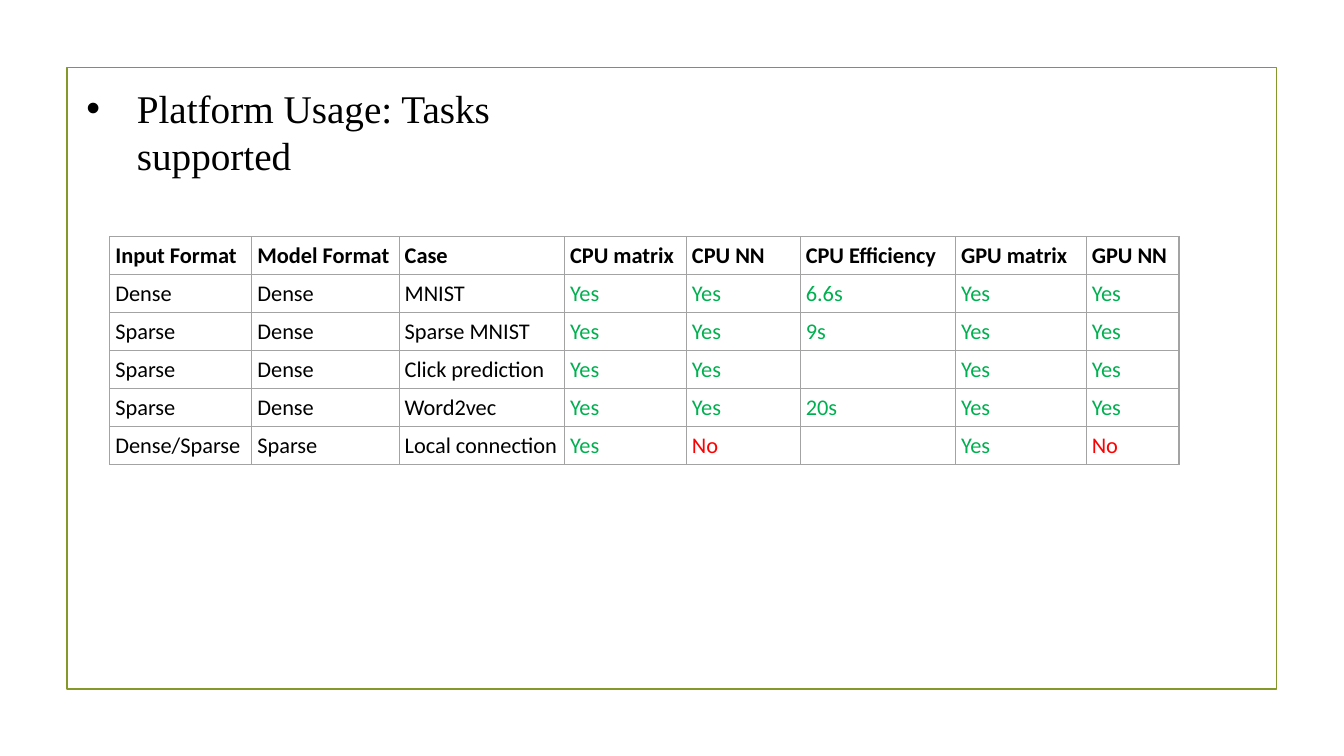
from dataclasses import dataclass

from lxml.etree import SubElement
from pptx import Presentation
from pptx.dml.color import RGBColor
from pptx.enum.shapes import MSO_SHAPE
from pptx.oxml.ns import qn
from pptx.slide import Slide
from pptx.table import _Cell as Cell
from pptx.util import Pt

BLACK = "000000"
GREEN = "00B050"
RED = "FF0000"
OLIVE = "83992A"
GRAY = "A3A3A3"
CELL_SIZE = 16
ROW_HEIGHT = 27.15


@dataclass
class Column:
    header: str
    width: float
    values: list[str]
    color: str = GREEN


COLUMNS = [
    Column("Input Format", 101.5, ["Dense", "Sparse", "Sparse", "Sparse", "Dense/Sparse"], BLACK),
    Column("Model Format", 105.2, ["Dense", "Dense", "Dense", "Dense", "Sparse"], BLACK),
    Column("Case", 118.2, ["MNIST", "Sparse MNIST", "Click prediction", "Word2vec", "Local connection"], BLACK),
    Column("CPU matrix", 87, ["Yes", "Yes", "Yes", "Yes", "Yes"]),
    Column("CPU NN", 81.3, ["Yes", "Yes", "Yes", "Yes", "No"]),
    Column("CPU Efficiency", 111, ["6.6s", "9s", "", "20s", ""]),
    Column("GPU matrix", 93.4, ["Yes", "Yes", "Yes", "Yes", "Yes"]),
    Column("GPU NN", 66.3, ["Yes", "Yes", "Yes", "Yes", "No"]),
]


def rgb(color: str) -> RGBColor:
    return RGBColor.from_string(color)


def add_frame(slide: Slide) -> None:
    shape = slide.shapes.add_shape(MSO_SHAPE.RECTANGLE, Pt(47.8), Pt(48.2), Pt(864), Pt(444))
    shape.shadow.inherit = False
    shape.fill.background()
    shape.line.color.rgb = rgb(OLIVE)
    shape.line.width = Pt(1.25)


def add_heading(slide: Slide) -> None:
    box = slide.shapes.add_textbox(Pt(54.7), Pt(56.9), Pt(416), Pt(41))
    box.text_frame.word_wrap = True
    paragraph = box.text_frame.paragraphs[0]
    paragraph.text = "Platform Usage: Tasks supported"
    font = paragraph.runs[0].font
    font.name = "Times New Roman"
    font.size = Pt(28)
    font.color.rgb = rgb(BLACK)
    properties = paragraph._p.get_or_add_pPr()
    properties.set("marL", str(Pt(36)))
    properties.set("indent", str(Pt(-36)))
    SubElement(properties, qn("a:buFont")).set("typeface", "Arial")
    SubElement(properties, qn("a:buChar")).set("char", "•")


def add_borders(cell: Cell) -> None:
    properties = cell._tc.get_or_add_tcPr()
    for side in ("lnL", "lnR", "lnT", "lnB"):
        line = SubElement(properties, qn(f"a:{side}"), w=str(Pt(1)))
        fill = SubElement(line, qn("a:solidFill"))
        SubElement(fill, qn("a:srgbClr")).set("val", GRAY)


def fill_cell(cell: Cell, text: str, color: str, bold: bool) -> None:
    add_borders(cell)
    cell.fill.background()
    cell.margin_left = cell.margin_right = Pt(4)
    cell.margin_top = cell.margin_bottom = Pt(3.8)
    paragraph = cell.text_frame.paragraphs[0]
    paragraph.text = text
    for run in paragraph.runs:
        run.font.name = "Calibri"
        run.font.size = Pt(CELL_SIZE)
        run.font.bold = bold
        run.font.color.rgb = rgb(color)
    if not text:
        SubElement(paragraph._p, qn("a:endParaRPr"), sz=str(CELL_SIZE * 100))


def add_task_table(slide: Slide) -> None:
    row_count = len(COLUMNS[0].values) + 1
    width = sum(column.width for column in COLUMNS)
    frame = slide.shapes.add_table(
        row_count, len(COLUMNS), Pt(78.4), Pt(169), Pt(width), Pt(row_count * ROW_HEIGHT)
    )
    table = frame.table
    table.first_row = False
    table.horz_banding = False
    for row in table.rows:
        row.height = Pt(ROW_HEIGHT)
    for column_index, column in enumerate(COLUMNS):
        table.columns[column_index].width = Pt(column.width)
        fill_cell(table.cell(0, column_index), column.header, BLACK, True)
        for row_index, value in enumerate(column.values, start=1):
            color = RED if value == "No" else column.color
            fill_cell(table.cell(row_index, column_index), value, color, False)


def main() -> None:
    presentation = Presentation()
    presentation.slide_width = Pt(960)
    presentation.slide_height = Pt(540)
    slide = presentation.slides.add_slide(presentation.slide_layouts[6])
    add_frame(slide)
    add_heading(slide)
    add_task_table(slide)
    presentation.save("out.pptx")


if __name__ == "__main__":
    main()
